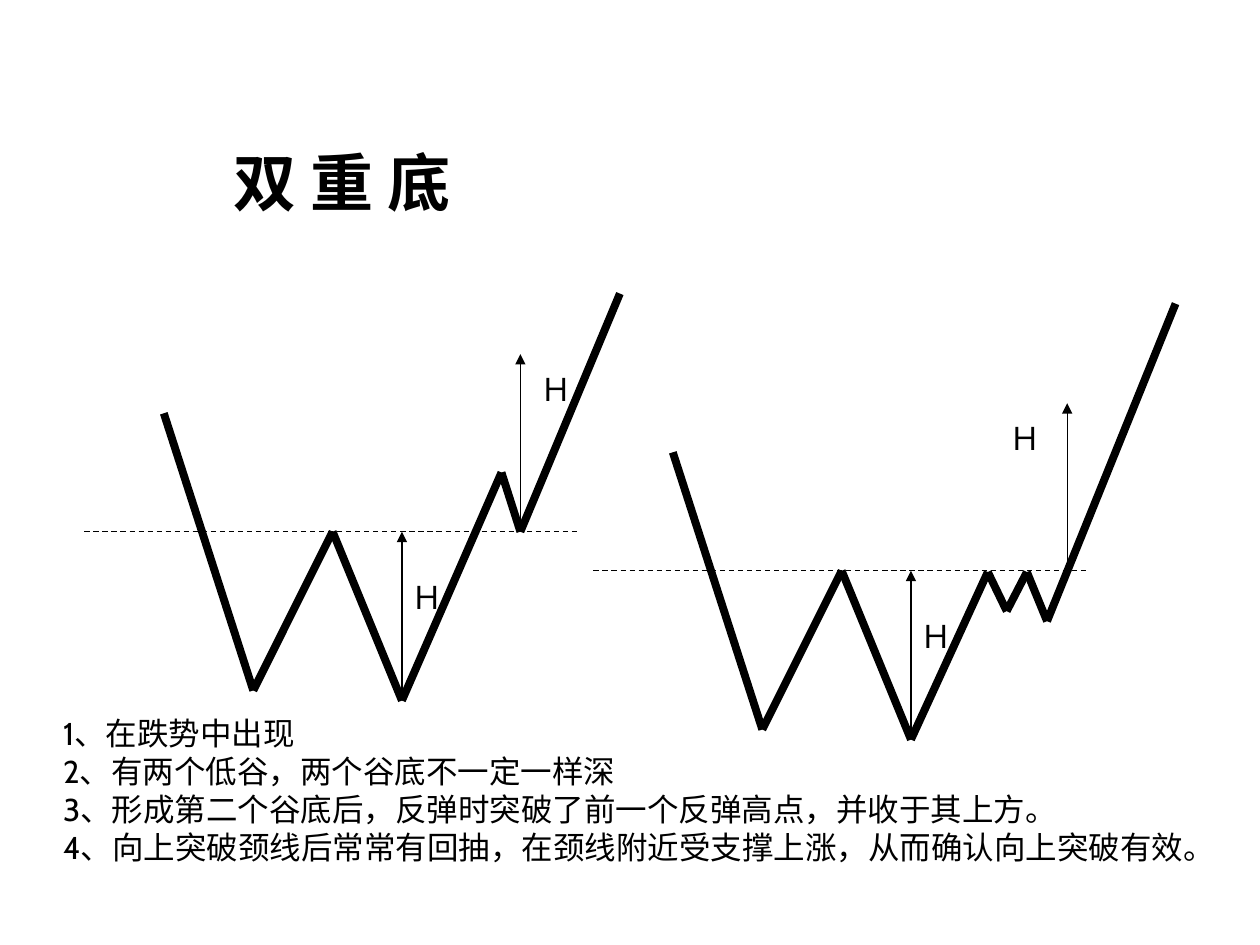
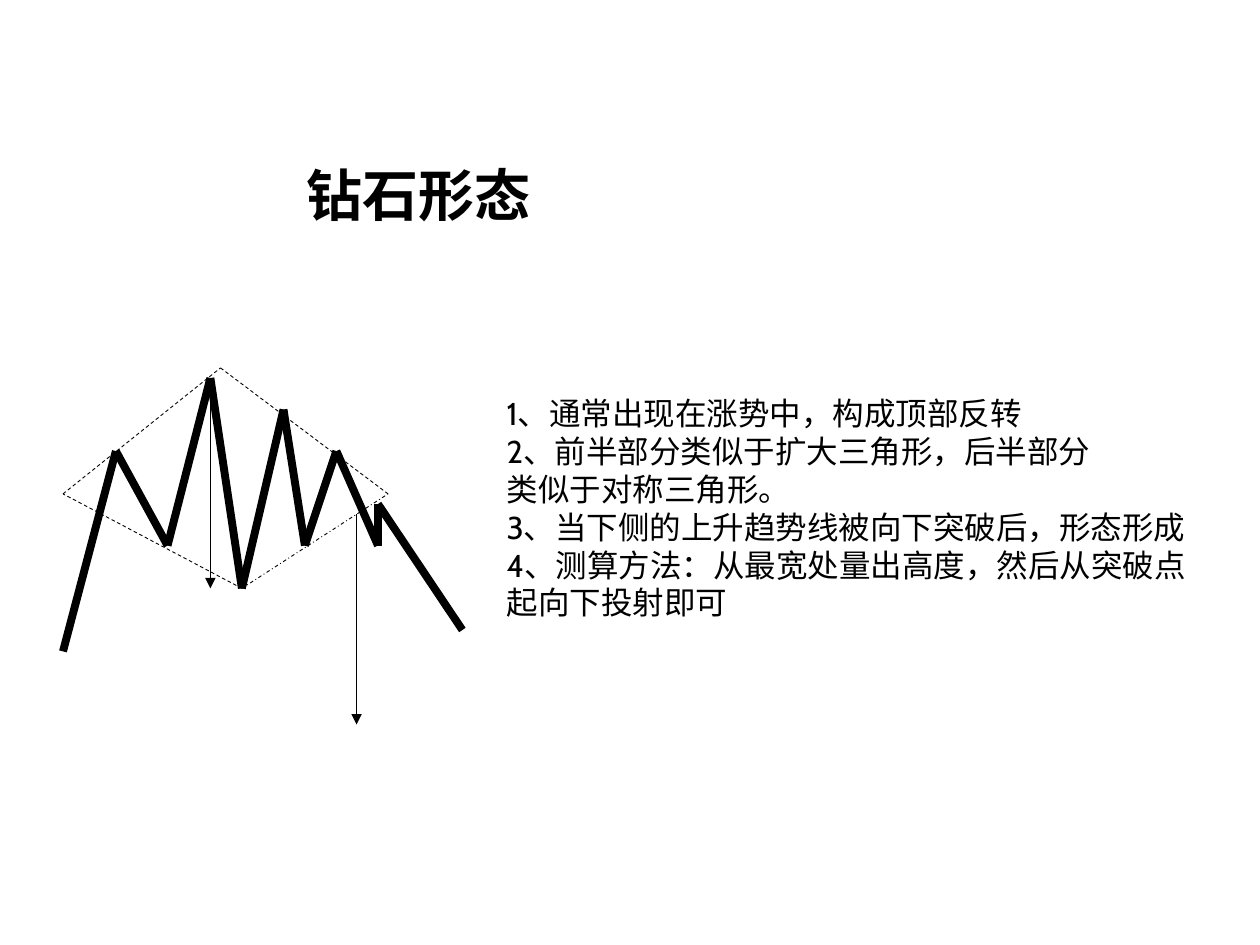
from itertools import pairwise

from lxml.etree import SubElement
from pptx import Presentation
from pptx.dml.color import RGBColor
from pptx.enum.dml import MSO_LINE
from pptx.enum.shapes import MSO_CONNECTOR
from pptx.enum.text import MSO_ANCHOR, MSO_AUTO_SIZE, PP_ALIGN
from pptx.oxml.ns import qn
from pptx.util import Inches, Pt

# Shared look
INK = "000000"
FONT = "Cabin"
TEXT_SIZE = 18
PRICE_WEIGHT, THIN_WEIGHT, TREND_WEIGHT = 4.5, 0.75, 0.5
LABEL_SIZE = (0.45, 0.4)

# Content: double bottom
DOUBLE_BOTTOM = {
    "title": ("双 重 底", 36, (1.75, 1.09, 2, 0.7)),
    "notes_box": (0.4, 5.62, 9.34, 1.6),
    "notes": [
        "1、在跌势中出现",
        "2、有两个低谷，两个谷底不一定一样深",
        "3、形成第二个谷底后，反弹时突破了前一个反弹高点，并收于其上方。",
        "4、向上突破颈线后常常有回抽，在颈线附近受支撑上涨，从而确认向上突破有效。",
    ],
}
# Both drawings start with the same W, neckline and height arrow
W_POINTS = [(1.3, 3.28), (2.01, 5.48), (2.64, 4.22), (3.19, 5.56)]
NECKLINE = [(0.67, 4.22), (4.61, 4.22)]
HEIGHT_ARROW = [(3.19, 5.48), (3.19, 4.22)]
HEIGHT_LABEL = (3.17, 4.54)
BREAKOUTS = [
    {
        "shift": (0, 0),
        "price": [(3.98, 3.75), (4.13, 4.22), (4.92, 2.33)],
        "target_arrow": [(4.13, 4.14), (4.13, 2.81)],
        "target_label": (4.19, 2.89),
    },
    {
        "shift": (4.04, 0.31),
        "price": [(7.84, 4.54), (7.99, 4.85), (8.15, 4.54), (8.31, 4.93), (9.33, 2.41)],
        "target_arrow": [(8.47, 4.54), (8.47, 3.2)],
        "target_label": (7.91, 3.28),
    },
]

# Content: diamond
DIAMOND = {
    "title": ("钻石形态", 32, (2.33, 1.22, 1.99, 0.63)),
    "notes_box": (3.92, 3.08, 5.59, 1.9),
    "notes": [
        "1、通常出现在涨势中，构成顶部反转",
        "2、前半部分类似于扩大三角形，后半部分",
        "类似于对称三角形。",
        "3、当下侧的上升趋势线被向下突破后，形态形成",
        "4、测算方法：从最宽处量出高度，然后从突破点",
        "起向下投射即可",
    ],
}
LEFT_CORNER, TOP_CORNER = (0.5, 3.92), (1.75, 2.92)
RIGHT_CORNER, BOTTOM_CORNER = (3.08, 3.92), (1.92, 4.67)
DIAMOND_PRICE = [
    (0.5, 5.17), (0.92, 3.58), (1.33, 4.33), (1.67, 3), BOTTOM_CORNER, (2.25, 3.25),
    (2.42, 4.33), (2.67, 3.58), (3, 4.33), (3, 4), (3.67, 5),
]
DIAMOND_ARROWS = [[(2.83, 4.08), (2.83, 5.75)], [(1.67, 3), (1.67, 4.67)]]


def color(value):
    return RGBColor.from_string(value)


def write(shape, lines, size, bold=False, wrap=False):
    """Fill a text shape with plain left-aligned paragraphs."""
    frame = shape.text_frame
    frame_format = {"word_wrap": wrap, "auto_size": MSO_AUTO_SIZE.NONE,
                    "vertical_anchor": MSO_ANCHOR.TOP}
    for name, value in frame_format.items():
        setattr(frame, name, value)
    for number, line in enumerate(lines):
        para = frame.add_paragraph() if number else frame.paragraphs[0]
        para.alignment = PP_ALIGN.LEFT
        para.space_before = Pt(0)
        properties = para._p.get_or_add_pPr()
        properties.set("marL", "0")
        properties.set("indent", "0")
        SubElement(properties, qn("a:buNone"))
        span = para.add_run()
        span.text = line
        for name, value in {"name": FONT, "size": Pt(size), "bold": bold}.items():
            setattr(span.font, name, value)
        span.font.color.rgb = color(INK)


def place(shape, box):
    for name, value in zip(("left", "top", "width", "height"), box):
        setattr(shape, name, Inches(value))


def draw_path(page, points, weight, dash=None, arrow=False):
    """Join successive points with straight lines."""
    for start, end in pairwise(points):
        line = page.shapes.add_connector(
            MSO_CONNECTOR.STRAIGHT, *(Inches(value) for value in (*start, *end)))
        line.line.color.rgb = color(INK)
        line.line.width = Pt(weight)
        if dash:
            line.line.dash_style = dash
        if arrow:
            SubElement(line.line._get_or_add_ln(), qn("a:tailEnd"), type="triangle")
        SubElement(line._element.spPr, qn("a:effectLst"))


def draw_height(page, arrow, label):
    draw_path(page, arrow, THIN_WEIGHT, arrow=True)
    box = page.shapes.add_textbox(*(Inches(value) for value in (*label, *LABEL_SIZE)))
    write(box, ["Ｈ"], TEXT_SIZE)


def shifted(points, shift):
    return [(x + shift[0], y + shift[1]) for x, y in points]


def add_page(deck, content):
    page = deck.slides.add_slide(deck.slide_layouts[1])
    title, size, box = content["title"]
    place(page.shapes.title, box)
    write(page.shapes.title, [title], size, bold=True)
    notes = page.placeholders[1]
    place(notes, content["notes_box"])
    write(notes, content["notes"], TEXT_SIZE, wrap=True)
    return page


def main():
    deck = Presentation()
    deck.slide_width, deck.slide_height = Inches(10), Inches(7.5)

    # Double bottom: two kinds of breakout
    page = add_page(deck, DOUBLE_BOTTOM)
    for breakout in BREAKOUTS:
        shift = breakout["shift"]
        draw_path(page, shifted(W_POINTS, shift) + breakout["price"], PRICE_WEIGHT)
        draw_path(page, shifted(NECKLINE, shift), THIN_WEIGHT, MSO_LINE.DASH)
        draw_height(page, shifted(HEIGHT_ARROW, shift), shifted([HEIGHT_LABEL], shift)[0])
        draw_height(page, breakout["target_arrow"], breakout["target_label"])

    # Diamond: trend lines, price and projected height
    page = add_page(deck, DIAMOND)
    draw_path(page, [BOTTOM_CORNER, LEFT_CORNER, TOP_CORNER, RIGHT_CORNER],
              TREND_WEIGHT, MSO_LINE.DASH)
    draw_path(page, [BOTTOM_CORNER, RIGHT_CORNER], TREND_WEIGHT, MSO_LINE.DASH_DOT)
    draw_path(page, DIAMOND_PRICE, PRICE_WEIGHT)
    for arrow in DIAMOND_ARROWS:
        draw_path(page, arrow, THIN_WEIGHT, arrow=True)

    deck.save("out.pptx")


if __name__ == "__main__":
    main()
